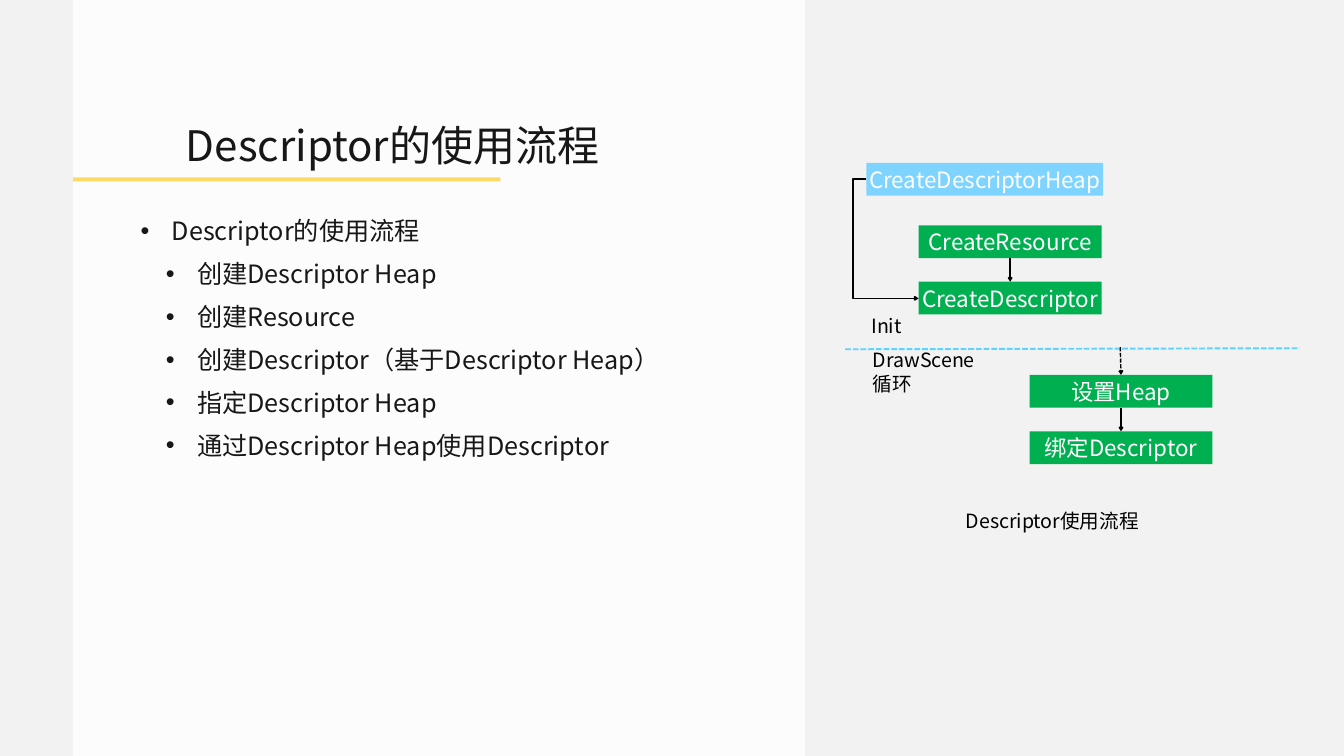
from lxml.etree import SubElement
from pptx import Presentation
from pptx.dml.color import RGBColor
from pptx.enum.dml import MSO_LINE
from pptx.enum.shapes import MSO_CONNECTOR, MSO_SHAPE
from pptx.enum.text import MSO_ANCHOR, MSO_AUTO_SIZE, PP_ALIGN
from pptx.oxml.ns import qn
from pptx.util import Inches, Pt

FONT = "Noto Sans CJK SC"
COLORS = {
    "background": "F2F2F2",
    "panel": "FFFFFF",
    "accent": "FFD966",
    "text": "171717",
    "label": "000000",
    "node": "00B050",
    "heap": "7FD4FF",
    "divider": "5DD4FF",
    "node_text": "FFFFFF",
}
STEPS = [
    "创建Descriptor Heap",
    "创建Resource",
    "创建Descriptor（基于Descriptor Heap）",
    "指定Descriptor Heap",
    "通过Descriptor Heap使用Descriptor",
]
NODE_WIDTH, NODE_HEIGHT, NODE_PITCH = 3.63, 0.65, 1.12


def color(name):
    """Return the named palette colour."""
    return RGBColor.from_string(COLORS[name])


def style(paragraph, size, color_name, align=PP_ALIGN.LEFT):
    """Set alignment, size, colour and typeface of a paragraph."""
    paragraph.alignment = align
    paragraph.font.size = Pt(size)
    paragraph.font.color.rgb = color(color_name)
    paragraph.font.name = FONT
    defaults = paragraph._p.pPr.find(qn("a:defRPr"))
    SubElement(defaults, qn("a:ea"), typeface=FONT)


def indent(paragraph, left, first=0):
    """Set the left margin and first-line indent in inches."""
    properties = paragraph._p.get_or_add_pPr()
    properties.set("marL", str(Inches(left)))
    properties.set("indent", str(Inches(first)))


def place(shape, left, top, width, height):
    """Move and size a shape in inches."""
    shape.left, shape.top = Inches(left), Inches(top)
    shape.width, shape.height = Inches(width), Inches(height)


def set_frame(frame, wrap=True):
    """Give a text frame narrow insets and middle anchoring."""
    frame.margin_left = frame.margin_right = Inches(0.06)
    frame.margin_top = frame.margin_bottom = Inches(0.06)
    frame.vertical_anchor = MSO_ANCHOR.MIDDLE
    frame.auto_size = MSO_AUTO_SIZE.NONE
    frame.word_wrap = wrap


def add_block(slide, left, top, width, height, fill):
    """Add a flat rectangle."""
    block = slide.shapes.add_shape(
        MSO_SHAPE.RECTANGLE, Inches(left), Inches(top), Inches(width), Inches(height)
    )
    block.shadow.inherit = False
    block.fill.solid()
    block.fill.fore_color.rgb = color(fill)
    block.line.fill.background()
    return block


def send_to_back(shape):
    """Put a shape behind all others."""
    shape._element.getparent().insert(2, shape._element)


def add_backdrop(slide):
    """Add the translucent panel and the title underline."""
    underline = add_block(slide, 1.45, 3.52, 8.48, 0.08, "accent")
    panel = add_block(slide, 1.45, 0, 14.52, 15, "panel")
    panel_color = panel._element.spPr.find(qn("a:solidFill")).find(qn("a:srgbClr"))
    SubElement(panel_color, qn("a:alpha"), val="80000")
    send_to_back(underline)
    send_to_back(panel)


def add_node(slide, text, left, top, width=NODE_WIDTH, fill="node"):
    """Add a labelled step of the flow."""
    node = add_block(slide, left, top, width, NODE_HEIGHT, fill)
    set_frame(node.text_frame, wrap=False)
    node.text_frame.text = text
    style(node.text_frame.paragraphs[0], 32, "node_text", PP_ALIGN.CENTER)
    return node


def add_label(slide, text, left, top, width, height, align=PP_ALIGN.LEFT):
    """Add a plain caption."""
    label = slide.shapes.add_textbox(
        Inches(left), Inches(top), Inches(width), Inches(height)
    )
    set_frame(label.text_frame)
    label.text_frame.text = text
    style(label.text_frame.paragraphs[0], 28, "label", align)


def add_line(slide, start, end, kind=MSO_CONNECTOR.STRAIGHT, stroke="label",
             weight=2, dashed=False, arrow=True):
    """Add a connector between two points in inches."""
    line = slide.shapes.add_connector(kind, *map(Inches, start + end))
    line.line.color.rgb = color(stroke)
    line.line.width = Pt(weight)
    if dashed:
        line.line.dash_style = MSO_LINE.SQUARE_DOT
    if arrow:
        SubElement(line.line._get_or_add_ln(), qn("a:tailEnd"), type="arrow")
    SubElement(line._element.spPr, qn("a:effectLst"))
    return line


def join_down(slide, upper, lower):
    """Join the bottom of one node to the top of the next."""
    arrow = add_line(slide, (0, 0), (1, 1))
    arrow.begin_connect(upper, 2)
    arrow.end_connect(lower, 0)


def add_node_pair(slide, texts, left, top):
    """Add two stacked nodes joined by an arrow."""
    upper, lower = (
        add_node(slide, text, left, top + row * NODE_PITCH)
        for row, text in enumerate(texts)
    )
    join_down(slide, upper, lower)
    return upper


def fill_title(title):
    """Write the slide title."""
    place(title, 2.63, 1.8, 10.3, 1.63)
    set_frame(title.text_frame)
    title.text_frame.text = "Descriptor的使用流程"
    heading = title.text_frame.paragraphs[0]
    indent(heading, 1)
    heading.line_spacing = 1.5
    style(heading, 60, "text")


def fill_steps(body):
    """Write the bulleted list of steps."""
    place(body, 2.69, 4.23, 12.66, 5.86)
    frame = body.text_frame
    frame.auto_size = MSO_AUTO_SIZE.NONE
    frame.text = "\n".join(["Descriptor的使用流程"] + STEPS)
    for row, paragraph in enumerate(frame.paragraphs):
        paragraph.level = min(row, 1)
        indent(paragraph, 1.12 if row else 0.62, -0.62)
        paragraph.space_before = Pt(18 if row else 0)
        properties = paragraph._p.get_or_add_pPr()
        SubElement(properties, qn("a:buFont"), typeface="Arial")
        SubElement(properties, qn("a:buChar"), char="•")
        style(paragraph, 36, "text")


def add_flow(slide):
    """Draw the initialisation and draw-loop diagram."""
    add_line(slide, (16.77, 6.93), (25.79, 6.91), stroke="divider",
             weight=2.75, dashed=True, arrow=False)
    add_label(slide, "DrawScene循环", 17.26, 6.85, 2.24, 1.05)
    add_label(slide, "Init", 17.23, 6.18, 1.25, 0.58)

    add_node(slide, "CreateDescriptorHeap", 17.19, 3.23, 4.7, "heap")
    add_node_pair(slide, ["CreateResource", "CreateDescriptor"], 18.23, 4.47)
    set_heap = add_node_pair(slide, ["设置Heap", "绑定Descriptor"], 20.43, 7.44)

    loop_entry = add_line(slide, (22.23, 6.89), (22.24, 7.44), dashed=True)
    loop_entry.end_connect(set_heap, 0)
    heap_link = add_line(slide, (17.19, 3.55), (18.23, 5.92), MSO_CONNECTOR.ELBOW)
    guides = heap_link._element.spPr.find(qn("a:prstGeom")).get_or_add_avLst()
    SubElement(guides, qn("a:gd"), name="adj1", fmla="val -25200")

    add_label(slide, "Descriptor使用流程", 17, 10.05, 7.76, 0.58, PP_ALIGN.CENTER)


def main():
    """Build and save the slide."""
    deck = Presentation()
    deck.slide_width, deck.slide_height = Inches(26.67), Inches(15)
    slide = deck.slides.add_slide(deck.slide_layouts[1])
    slide.background.fill.solid()
    slide.background.fill.fore_color.rgb = color("background")
    fill_title(slide.shapes.title)
    fill_steps(slide.placeholders[1])
    add_backdrop(slide)
    add_flow(slide)
    deck.save("out.pptx")


if __name__ == "__main__":
    main()
